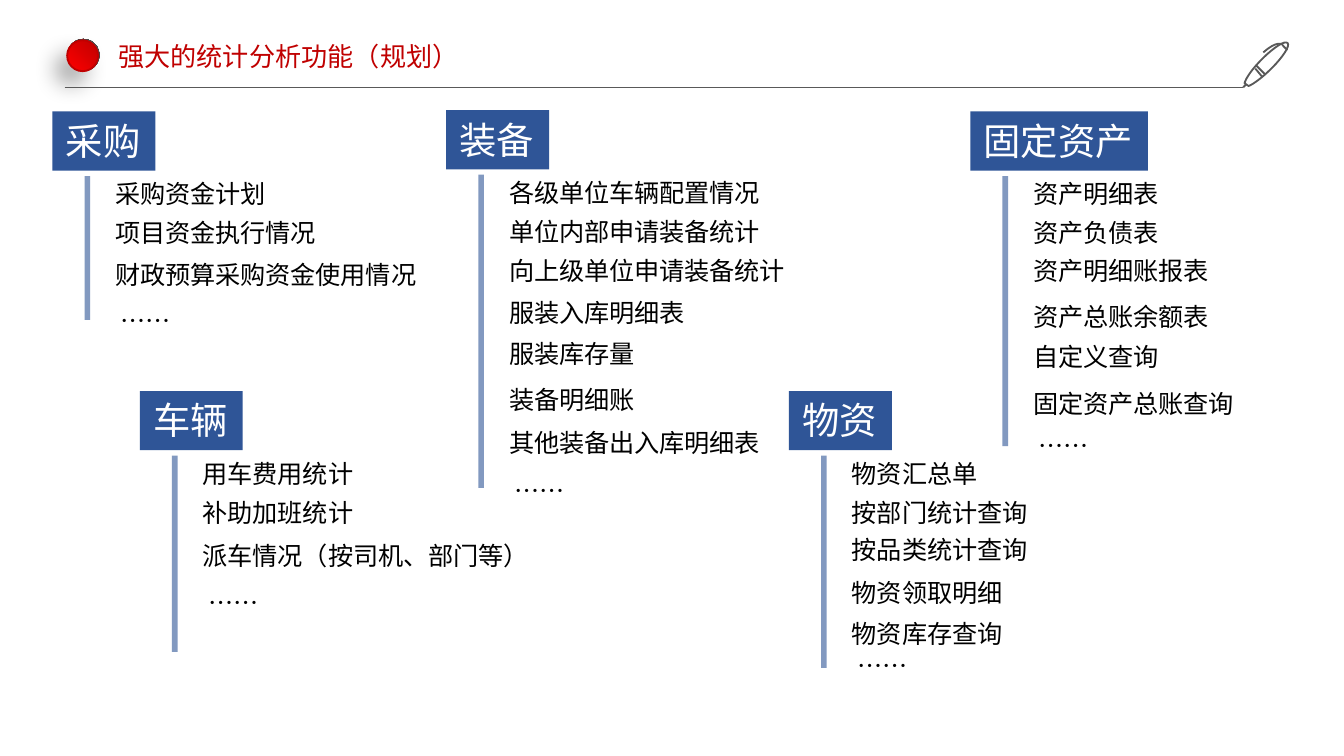
import pptx
import pptx.util
import pptx.dml.color
import pptx.oxml
import pptx.oxml.ns
import pptx.enum.text
import pptx.enum.shapes
from dataclasses import dataclass

TITLE = "强大的统计分析功能（规划）"
GROUPS = [
    ("采购", 0.39, 0.83, 2.38, [
        ("采购资金计划", 1.28), ("项目资金执行情况", 1.57),
        ("财政预算采购资金使用情况", 1.88), ("……", 2.22)]),
    ("装备", 3.32, 0.82, 3.63, [
        ("各级单位车辆配置情况", 1.27), ("单位内部申请装备统计", 1.56),
        ("向上级单位申请装备统计", 1.85), ("服装入库明细表", 2.16),
        ("服装库存量", 2.47), ("装备明细账", 2.81),
        ("其他装备出入库明细表", 3.13), ("……", 3.49)]),
    ("固定资产", 7.22, 0.83, 3.32, [
        ("资产明细表", 1.28), ("资产负债表", 1.57),
        ("资产明细账报表", 1.85), ("资产总账余额表", 2.19),
        ("自定义查询", 2.49), ("固定资产总账查询", 2.84), ("……", 3.15)]),
    ("车辆", 1.04, 2.91, 4.85, [
        ("用车费用统计", 3.36), ("补助加班统计", 3.65),
        ("派车情况（按司机、部门等）", 3.97), ("……", 4.32)]),
    ("物资", 5.87, 2.91, 4.97, [
        ("物资汇总单", 3.36), ("按部门统计查询", 3.65),
        ("按品类统计查询", 3.93), ("物资领取明细", 4.25),
        ("物资库存查询", 4.55), ("……", 4.79)]),
]
DOTS = [
    ((0.5, 0.29, 0.24), ("595959", "262626"), None, True),
    ((0.5, 0.3, 0.23), ("C00000", "FF0000"), "C00000", False),
]
PEN = [
    [(9.39, 0.57), (9.34, 0.51)],
    [(9.35, 0.49), (9.41, 0.55)],
    [(9.58, 0.32), (9.56, 0.3, 9.48, 0.35, 9.39, 0.44),
     (9.32, 0.51, 9.27, 0.58, 9.26, 0.62), (9.29, 0.64),
     (9.32, 0.63, 9.39, 0.58, 9.46, 0.51),
     (9.55, 0.42, 9.6, 0.34, 9.58, 0.32)],
    [(9.27, 0.63), (9.25, 0.65)],
    [(9.58, 0.37), (9.58, 0.37, 9.55, 0.35, 9.54, 0.33),
     (9.54, 0.33, 9.5, 0.3, 9.4, 0.39)],
]


@dataclass
class Theme:
    font: str = "Noto Sans CJK SC"
    red: str = "C00000"
    blue: str = "2F5597"
    gray: str = "595959"
    black: str = "000000"
    white: str = "FFFFFF"
    title: float = 14
    head: float = 20
    item: float = 13.5


theme = Theme()
Inches = pptx.util.Inches
Pt = pptx.util.Pt
qn = pptx.oxml.ns.qn
SHAPE = pptx.enum.shapes.MSO_SHAPE
SPACE = pptx.oxml.ns.nsdecls("a")


def rgb(code):
    return pptx.dml.color.RGBColor.from_string(code)


def node(xml):
    return pptx.oxml.parse_xml(xml.replace(" ", f" {SPACE} ", 1))


def text(shape, words, size, color, inset=(0.1, 0.05)):
    frame = shape.text_frame
    frame.word_wrap = False
    frame.auto_size = pptx.enum.text.MSO_AUTO_SIZE.SHAPE_TO_FIT_TEXT
    frame.vertical_anchor = pptx.enum.text.MSO_ANCHOR.TOP
    frame.margin_left = frame.margin_right = Inches(inset[0])
    frame.margin_top = frame.margin_bottom = Inches(inset[1])
    para = frame.paragraphs[0]
    para.alignment = pptx.enum.text.PP_ALIGN.LEFT
    para.line_spacing = 1.0
    para.space_before = Pt(0)
    run = para.add_run()
    run.text = words
    run.font.size = Pt(size)
    run.font.name = theme.font
    run.font.color.rgb = rgb(color)
    run.font._element.append(node(f'<a:ea typeface="{theme.font}"/>'))


def rule(start, end, color, width, alpha=None):
    line = slide.shapes.add_connector(
        pptx.enum.shapes.MSO_CONNECTOR.STRAIGHT, *map(Inches, start + end))
    line.line.color.rgb = rgb(color)
    line.line.width = Pt(width)
    props = line._element.spPr
    if alpha:
        tint = next(props.iter(qn("a:srgbClr")))
        tint.append(node(f'<a:alpha val="{alpha * 1000}"/>'))
    props.append(node("<a:effectLst />"))


def dot(place, colors, edge, shade):
    left, top, size = map(Inches, place)
    ball = slide.shapes.add_shape(SHAPE.OVAL, left, top, size, size)
    ball.shadow.inherit = False
    ball.fill.gradient()
    for stop, color in zip(ball.fill.gradient_stops, colors):
        stop.color.rgb = rgb(color)
    props = ball._element.spPr
    grad = props.find(qn("a:gradFill"))
    grad.remove(grad.find(qn("a:lin")))
    grad.append(node('<a:path path="circle">'
                     '<a:fillToRect l="100000" b="100000"/></a:path>'))
    if edge:
        ball.line.color.rgb = rgb(edge)
        ball.line.width = Pt(1)
    else:
        ball.line.fill.background()
    if shade:
        props.find(qn("a:effectLst")).append(node(
            f'<a:outerShdw blurRad="{Pt(12)}" dist="{Pt(10)}" dir="{130 * 60000}">'
            '<a:srgbClr val="000000"><a:alpha val="32000"/></a:srgbClr>'
            '</a:outerShdw>'))


def curve(start, bend, steps=8):
    pts = [start, bend[:2], bend[2:4], bend[4:]]
    for step in range(1, steps + 1):
        t = step / steps
        mix = ((1 - t) ** 3, 3 * t * (1 - t) ** 2, 3 * t * t * (1 - t), t ** 3)
        yield tuple(sum(m * p[axis] for m, p in zip(mix, pts)) for axis in (0, 1))


def trace(parts):
    pts = [parts[0]]
    for part in parts[1:]:
        pts.extend([part] if len(part) == 2 else curve(pts[-1], part))
    return [(Inches(x), Inches(y)) for x, y in pts]


def pen():
    strokes = [trace(parts) for parts in PEN]
    form = slide.shapes.build_freeform(*strokes[0][0])
    for count, pts in enumerate(strokes):
        if count:
            form.move_to(*pts[0])
        form.add_line_segments(pts[1:], close=pts[0] == pts[-1])
    shape = form.convert_to_shape()
    shape.shadow.inherit = False
    shape.fill.background()
    shape.line.color.rgb = rgb(theme.gray)
    shape.line.width = Pt(1)


def width(words, size):
    return Inches(len(words) * size / 72 + 0.21)


def group(name, left, top, end, items):
    head = slide.shapes.add_shape(
        SHAPE.RECTANGLE, Inches(left), Inches(top),
        width(name, theme.head), Inches(0.44))
    head.shadow.inherit = False
    head.fill.solid()
    head.fill.fore_color.rgb = rgb(theme.blue)
    head.line.fill.background()
    text(head, name, theme.head, theme.white)
    rule((left + 0.26, top + 0.48), (left + 0.26, end), theme.blue, 3, alpha=60)
    for words, high in items:
        shift = 0.41 if words == "……" else 0.37
        box = slide.shapes.add_textbox(
            Inches(left + shift), Inches(high),
            width(words, theme.item), Inches(0.33))
        text(box, words, theme.item, theme.black)


deck = pptx.Presentation()
deck.slide_width = Inches(10)
deck.slide_height = deck.slide_width * 9 // 16
slide = deck.slides.add_slide(deck.slide_layouts[5])
title = slide.shapes.title
title.left, title.top, title.width, title.height = map(
    Inches, (0.81, 0.26, 2.7, 0.31))
text(title, TITLE, theme.title, theme.red, inset=(0.07, 0.04))
for ball in DOTS:
    dot(*ball)
rule((0.48, 0.65), (9.25, 0.65), theme.gray, 0.5)
pen()
for row in GROUPS:
    group(*row)
deck.save("out.pptx")
